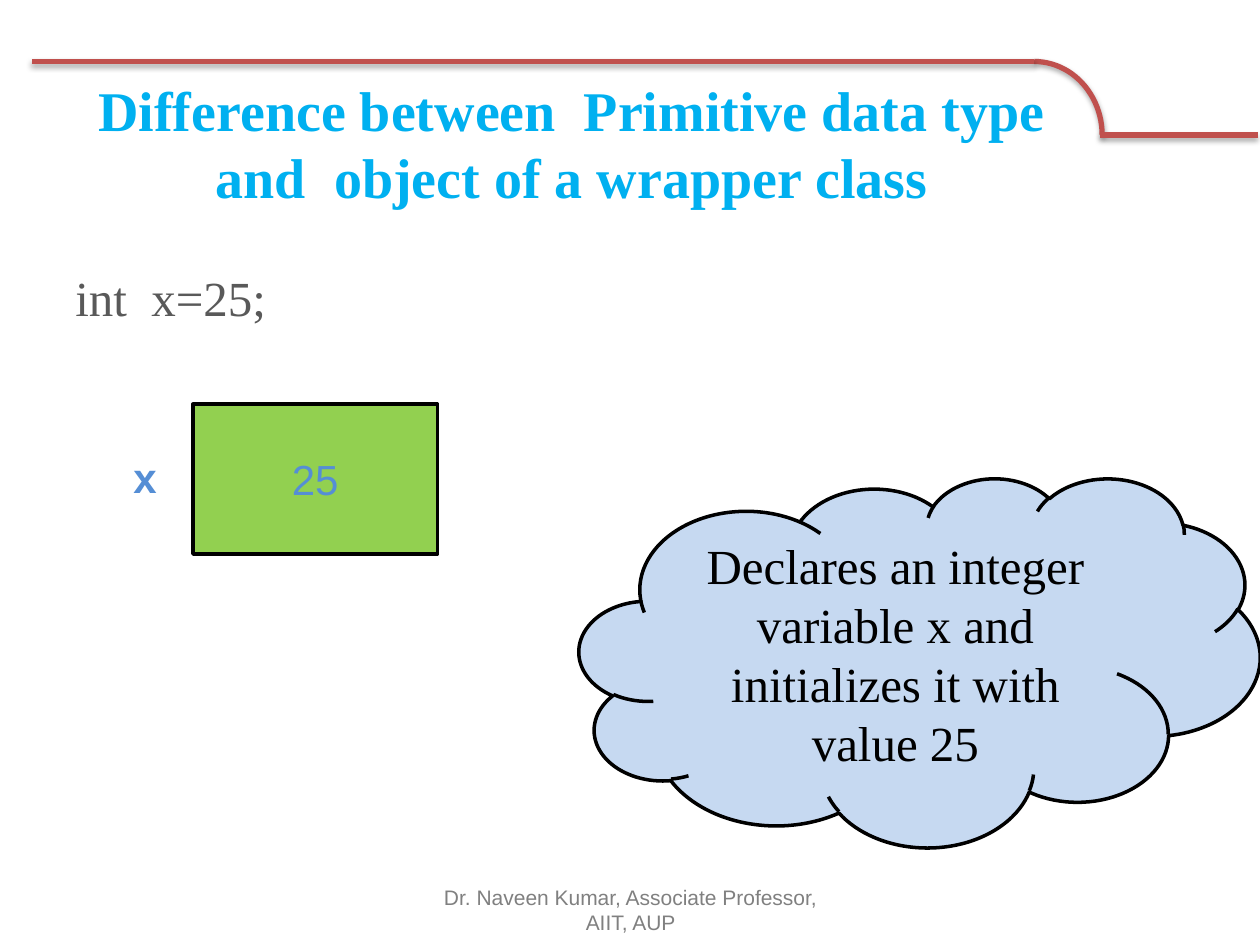
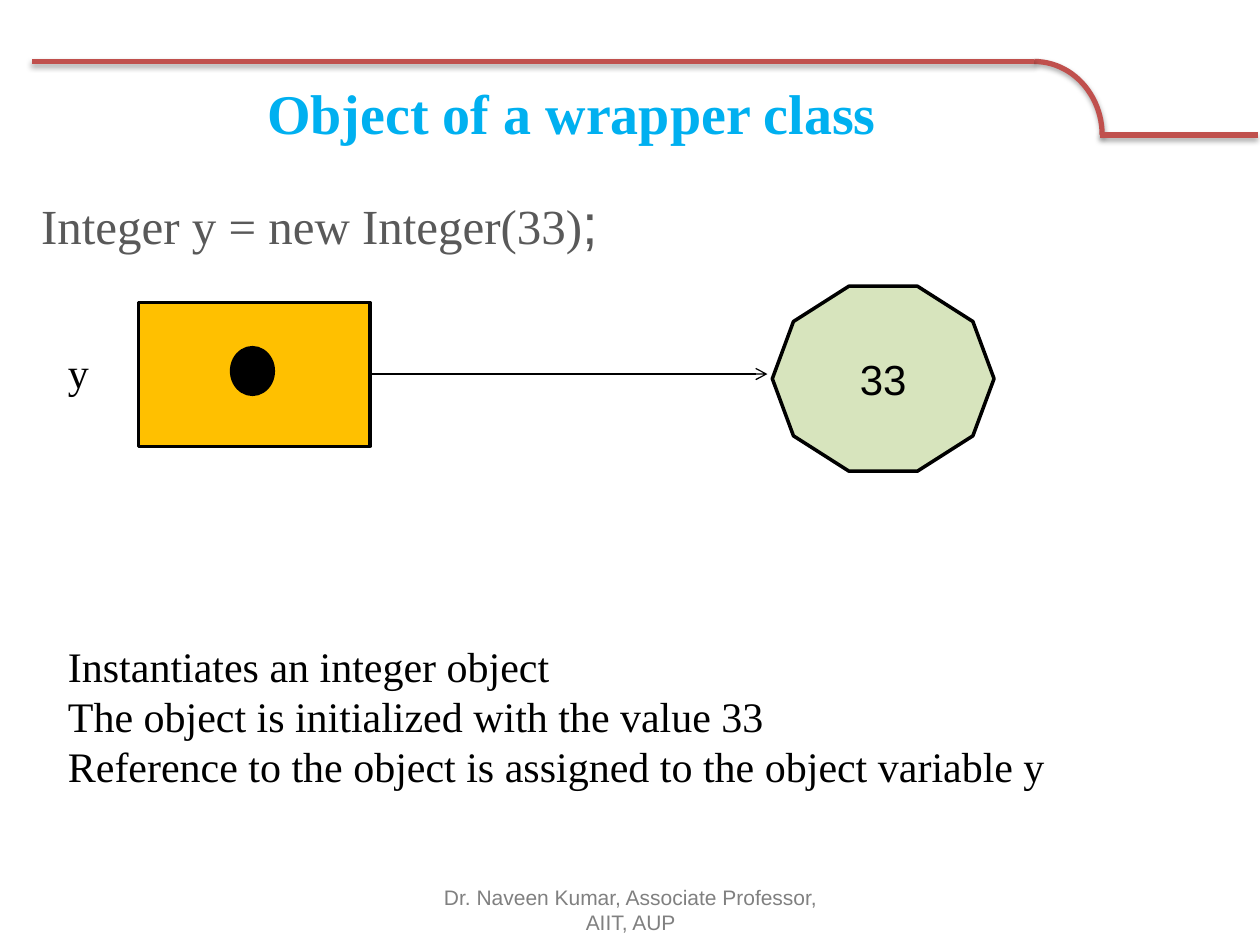
import lxml.etree
import pptx
import pptx.dml.color
import pptx.enum.shapes
import pptx.enum.text
import pptx.oxml
import pptx.oxml.ns
import pptx.util

Cm, Pt = pptx.util.Cm, pptx.util.Pt
Kind = pptx.enum.shapes.MSO_SHAPE
Align = pptx.enum.text.PP_ALIGN
Anchor = pptx.enum.text.MSO_ANCHOR
STRAIGHT = pptx.enum.shapes.MSO_CONNECTOR.STRAIGHT
qn = pptx.oxml.ns.qn

SERIF, SANS = "Times New Roman", "Arial"
BLACK, RED, CYAN, GREY, SMOKE, BLUE = "000000", "C0504D", "00B0F0", "595959", "808080", "558ED5"
SHADOW = (
    '<a:outerShdw xmlns:a="http://schemas.openxmlformats.org/drawingml/2006/main" '
    'blurRad="39370" dist="22860" dir="5400000" rotWithShape="0">'
    '<a:srgbClr val="000000"><a:alpha val="35000"/></a:srgbClr></a:outerShdw>'
)


def paint(fill, shade):
    """Give a shape, line or font fill one solid hex colour."""
    fill.solid()
    fill.fore_color.rgb = pptx.dml.color.RGBColor.from_string(shade)


def write(shape, lines, shade, bold=False, align=Align.CENTER, anchor=Anchor.MIDDLE):
    """Fill a shape with paragraphs, each a list of (text, size, font) runs."""
    frame = shape.text_frame
    frame.word_wrap = True
    frame.vertical_anchor = anchor
    for i, line in enumerate(lines):
        para = frame.add_paragraph() if i else frame.paragraphs[0]
        para.alignment = align
        for text, size, face in line:
            run = para.add_run()
            run.text = text
            run.font.size = Pt(size)
            run.font.name = face
            run.font.bold = bold
            paint(run.font.fill, shade)


# Lengths are centimetres: left, top, width, height.
BAND = [(22.17, 2.72, 25.35, 2.72), (20.85, 1.24, 0.64, 1.24)]
ARC = (19.48, 1.24, 2.74, 2.97)
FOOT = (8.69, 17.83, 8.05, 1.02)

pages = [
    {
        "title": "Difference between  Primitive data type and  object of a wrapper class",
        "top": 1.96,
        "shapes": [
            (Kind.RECTANGLE, (3.89, 8.15, 4.93, 3.02), "92D050", "25", 24, SANS, BLUE),
            (Kind.CLOUD, (11.68, 9.63, 13.72, 7.44), "C6D9F1",
             "Declares an integer variable x and initializes it with value 25", 28, SERIF, BLACK),
        ],
        "arrows": [],
        "texts": [
            ((1.27, 5.26, 23.7, 1.5), [[("int  x=25;", 28, SERIF)]], GREY, False),
            ((2.44, 8.97, 1.3, 1.3), [[("x", 24, SANS)]], BLUE, True),
        ],
    },
    {
        "title": "Object of a wrapper class",
        "top": 1.35,
        "shapes": [
            (Kind.RECTANGLE, (2.79, 6.1, 4.67, 2.9), "FFC000", "", 24, SANS, BLACK),
            (Kind.OVAL, (4.67, 7.01, 0.84, 0.94), BLACK, "", 24, SANS, BLACK),
            (Kind.DECAGON, (15.57, 5.77, 4.47, 3.73), "D7E4BD", "33", 24, SANS, BLACK),
        ],
        "arrows": [(7.47, 7.54, 15.47, 7.54)],
        "texts": [
            ((0.58, 3.68, 23.52, 1.6),
             [[("Integer y = new Integer(33)", 28, SERIF), (";", 32, SANS)]], GREY, False),
            ((1.12, 6.86, 0.94, 1.27), [[("y", 24, SERIF)]], BLACK, False),
            ((1.12, 12.78, 23.22, 3.33), [
                [("Instantiates an integer object", 24, SERIF)],
                [("The object is initialized with the value 33", 24, SERIF)],
                [("Reference to the object is assigned to the object variable y", 24, SERIF)],
            ], BLACK, False),
        ],
    },
]

deck = pptx.Presentation()
deck.slide_width, deck.slide_height = Cm(25.4), Cm(19.05)

for page in pages:
    slide = deck.slides.add_slide(deck.slide_layouts[6])
    items = slide.shapes

    arc = items.add_shape(Kind.ARC, *map(Cm, ARC))
    arc.shadow.inherit = False
    arc.fill.background()
    arc.line.width = Pt(3)
    paint(arc.line.fill, RED)
    arc.element.spPr.find(qn("a:effectLst")).append(pptx.oxml.parse_xml(SHADOW))

    title = items.add_textbox(Cm(1.27), Cm(page["top"]), Cm(20.52), Cm(1.83))
    write(title, [[(page["title"], 32, SERIF)]], CYAN, bold=True)

    for kind, box, fill, text, size, face, shade in page["shapes"]:
        shape = items.add_shape(kind, *map(Cm, box))
        shape.shadow.inherit = False
        paint(shape.fill, fill)
        paint(shape.line.fill, BLACK)
        shape.line.width = Pt(2)
        if text:
            write(shape, [[(text, size, face)]], shade)

    for ends in BAND + page["arrows"]:
        line = items.add_connector(STRAIGHT, *map(Cm, ends))
        band = ends in BAND
        paint(line.line.fill, RED if band else BLACK)
        line.line.width = Pt(3 if band else 0.75)
        props = line.element.spPr
        effect = lxml.etree.SubElement(props, qn("a:effectLst"))
        if band:
            effect.append(pptx.oxml.parse_xml(SHADOW))
        else:
            lxml.etree.SubElement(props.find(qn("a:ln")), qn("a:tailEnd"), type="arrow")

    for box, lines, shade, bold in page["texts"]:
        note = items.add_textbox(*map(Cm, box))
        write(note, lines, shade, bold, Align.LEFT, Anchor.TOP)

    foot = items.add_textbox(*map(Cm, FOOT))
    write(foot, [[("Dr. Naveen Kumar, Associate Professor, AIIT, AUP", 12, SANS)]], SMOKE)

deck.save("out.pptx")
